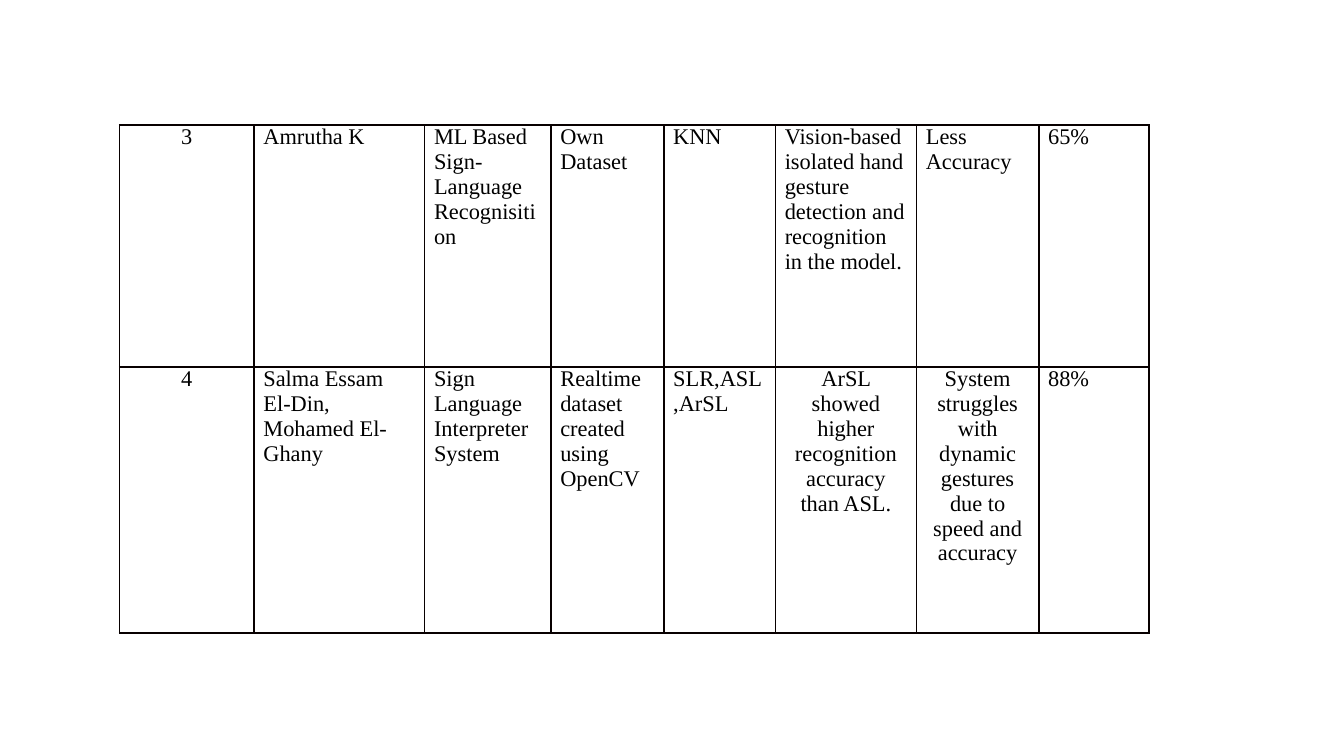
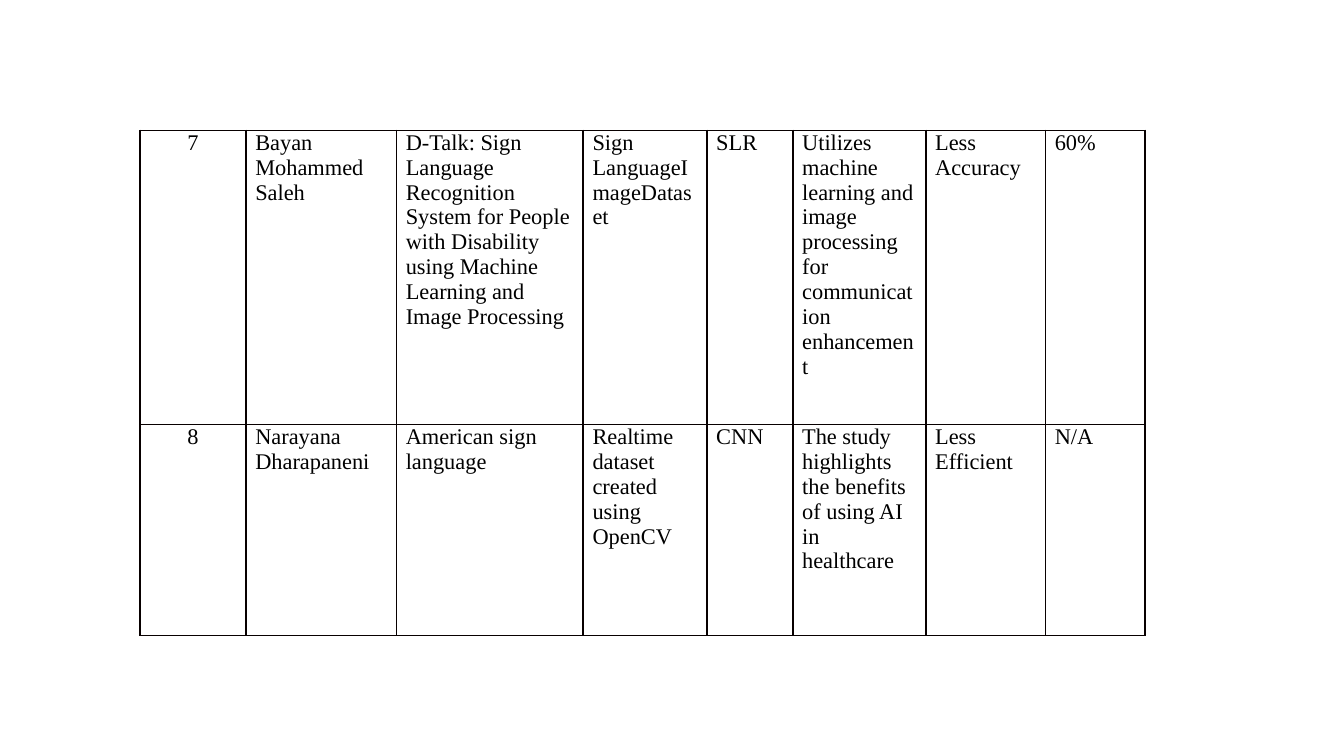
from dataclasses import dataclass

from lxml import etree
from pptx import Presentation
from pptx.dml.color import RGBColor
from pptx.enum.text import PP_ALIGN
from pptx.oxml.ns import qn
from pptx.util import Inches, Pt

LEFT, CENTER = PP_ALIGN.LEFT, PP_ALIGN.CENTER
SLIDE_WIDTH = Inches(10)
SLIDE_HEIGHT = SLIDE_WIDTH * 9 // 16
BLANK_LAYOUT = 6
FONT_NAME = "Times New Roman"
FONT_SIZE = Pt(12)
TEXT_COLOR = "000000"
BORDER_COLOR = "080000"
BORDER_WIDTH = Pt(1)
SIDE_MARGIN = Inches(0.07)
BORDER_TAGS = ("a:lnL", "a:lnR", "a:lnT", "a:lnB")


@dataclass(frozen=True)
class Study:
    number: str
    authors: str
    title: str
    dataset: str
    method: str
    findings: str
    limitation: str
    accuracy: str
    centered: tuple[str, ...] = ("number",)

    def entries(self) -> list[tuple[str, PP_ALIGN]]:
        fields = ("number", "authors", "title", "dataset",
                  "method", "findings", "limitation", "accuracy")
        return [(getattr(self, field), CENTER if field in self.centered else LEFT)
                for field in fields]


@dataclass(frozen=True)
class SurveyTable:
    left: float
    top: float
    columns: tuple[float, ...]
    rows: tuple[float, ...]
    studies: tuple[Study, ...]


SURVEY_TABLES = (
    SurveyTable(
        left=0.89, top=0.93,
        columns=(1, 1.27, 0.94, 0.84, 0.83, 1.05, 0.91, 0.82),
        rows=(1.8, 1.98),
        studies=(
            Study("3", "Amrutha K", "ML Based Sign-Language Recognisition",
                  "Own Dataset", "KNN",
                  "Vision-based isolated hand gesture detection and recognition in the model.",
                  "Less Accuracy", "65%"),
            Study("4", "Salma Essam El-Din, Mohamed El-Ghany",
                  "Sign Language Interpreter System",
                  "Realtime dataset created using OpenCV", "SLR,ASL,ArSL",
                  "ArSL showed higher recognition accuracy than ASL.",
                  "System struggles with dynamic gestures due to speed and accuracy",
                  "88%", centered=("number", "findings", "limitation")),
        ),
    ),
    SurveyTable(
        left=1.04, top=0.97,
        columns=(0.79, 1.12, 1.39, 0.92, 0.64, 0.99, 0.89, 0.74),
        rows=(2.19, 1.57),
        studies=(
            Study("7", "Bayan Mohammed Saleh",
                  "D-Talk: Sign Language Recognition System for People with Disability "
                  "using Machine Learning and Image Processing",
                  "Sign LanguageImageDataset", "SLR",
                  "Utilizes machine learning and image processing for "
                  "communication enhancement",
                  "Less Accuracy", "60%"),
            Study("8", "Narayana Dharapaneni", "American sign language",
                  "Realtime dataset created using OpenCV", "CNN",
                  "The study highlights the benefits of using AI in healthcare",
                  "Less Efficient", "N/A"),
        ),
    ),
)


def color(hex_text: str) -> RGBColor:
    return RGBColor.from_string(hex_text)


def draw_borders(cell) -> None:
    properties = cell._tc.get_or_add_tcPr()
    for position, tag in enumerate(BORDER_TAGS):
        line = etree.Element(qn(tag), w=str(BORDER_WIDTH))
        fill = etree.SubElement(line, qn("a:solidFill"))
        etree.SubElement(fill, qn("a:srgbClr"), val=BORDER_COLOR)
        properties.insert(position, line)


def fill_cell(cell, text: str, alignment: PP_ALIGN) -> None:
    cell.margin_left = cell.margin_right = SIDE_MARGIN
    cell.margin_top = cell.margin_bottom = 0
    cell.fill.background()
    draw_borders(cell)
    cell.text = text
    paragraph = cell.text_frame.paragraphs[0]
    paragraph.alignment = alignment
    paragraph.font.name = FONT_NAME
    paragraph.font.size = FONT_SIZE
    paragraph.font.color.rgb = color(TEXT_COLOR)


def draw_table(page, survey: SurveyTable) -> None:
    table = page.shapes.add_table(
        len(survey.rows), len(survey.columns),
        Inches(survey.left), Inches(survey.top),
        Inches(sum(survey.columns)), Inches(sum(survey.rows))).table
    table.first_row = table.horz_banding = False
    for column, width in zip(table.columns, survey.columns):
        column.width = Inches(width)
    for row, height, study in zip(table.rows, survey.rows, survey.studies):
        row.height = Inches(height)
        for cell, (text, alignment) in zip(row.cells, study.entries()):
            fill_cell(cell, text, alignment)


def main() -> None:
    deck = Presentation()
    deck.slide_width, deck.slide_height = SLIDE_WIDTH, SLIDE_HEIGHT
    for survey in SURVEY_TABLES:
        page = deck.slides.add_slide(deck.slide_layouts[BLANK_LAYOUT])
        draw_table(page, survey)
    deck.save("out.pptx")


if __name__ == "__main__":
    main()
